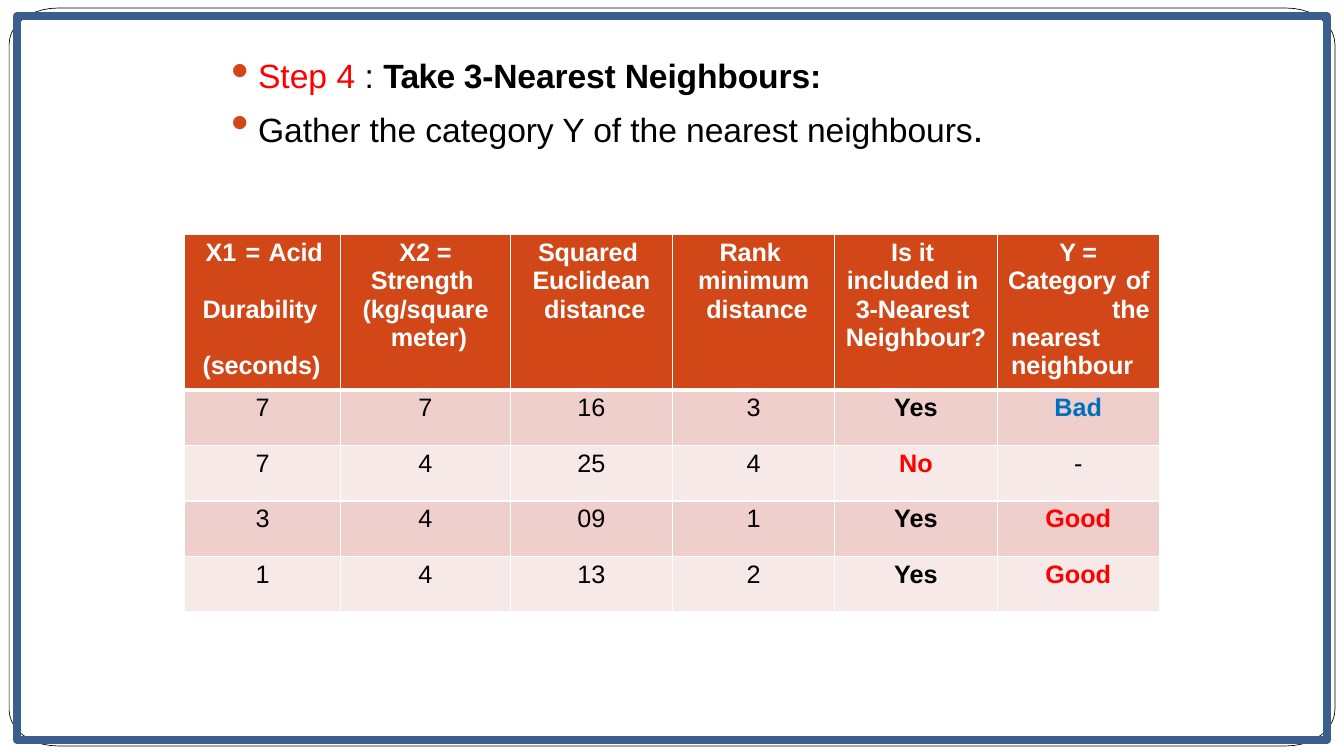
"""Build the slide on taking the three nearest neighbours."""
from dataclasses import dataclass
from math import cos, pi, sin

from lxml import etree
from pptx import Presentation
from pptx.dml.color import RGBColor
from pptx.enum.shapes import MSO_SHAPE
from pptx.enum.text import MSO_ANCHOR, MSO_AUTO_SIZE, PP_ALIGN
from pptx.oxml.ns import qn
from pptx.slide import Slide
from pptx.util import Inches, Pt

RECTANGLE = MSO_SHAPE.RECTANGLE
LEFT, CENTER, JUSTIFY = PP_ALIGN.LEFT, PP_ALIGN.CENTER, PP_ALIGN.JUSTIFY
TOP = MSO_ANCHOR.TOP
GROW = MSO_AUTO_SIZE.SHAPE_TO_FIT_TEXT

BLACK = RGBColor(0x00, 0x00, 0x00)
WHITE = RGBColor(0xFF, 0xFF, 0xFF)
RED = RGBColor(0xFF, 0x00, 0x00)
BLUE = RGBColor(0x00, 0x6F, 0xC0)
ORANGE = RGBColor(0xD2, 0x47, 0x17)
FRAME_BLUE = RGBColor(0x3A, 0x5F, 0x8C)
DARK_BAND = RGBColor(0xEE, 0xCF, 0xCC)
LIGHT_BAND = RGBColor(0xF7, 0xE9, 0xE7)

FONT = "Arial"
COLUMN_WIDTHS = (1.55, 1.68, 1.61, 1.61, 1.61, 1.61)
ROW_HEIGHTS = (1.3, 0.55, 0.55, 0.55, 0.55)


@dataclass(frozen=True)
class Run:
    """A stretch of text in one format."""
    text: str
    color: RGBColor = BLACK
    bold: bool = False
    size: float = 18
    spacing: float = 0


@dataclass(frozen=True)
class Line:
    """A paragraph with its margins in inches and space before in points."""
    runs: tuple[Run, ...]
    align: PP_ALIGN = CENTER
    left: float = 0
    right: float = 0
    first: float = 0
    before: float = 3.1


def header(text: str, align: PP_ALIGN = CENTER, left: float = 0,
           right: float = 0, first: float = 0, before: float = 3.1) -> Line:
    """Return a paragraph in the heading format."""
    run = Run(text, WHITE, True, spacing=-0.1)
    return Line((run,), align, left, right, first, before)


def value(text: str, color: RGBColor = BLACK, bold: bool = False) -> tuple[Line, ...]:
    """Return the single paragraph of a body cell."""
    return (Line((Run(text, color, bold),)),)


YES = value("Yes", bold=True)
GOOD = value("Good", RED, True)

HEADINGS = (
    (header("X1 = Acid  Durability  (seconds)", JUSTIFY, 0.18, 0.18, 0.03),),
    (header("X2 ="),
     header("Strength  (kg/square  meter)", CENTER, 0.21, 0.21, before=0)),
    (header("Squared  Euclidean  distance", CENTER, 0.21, 0.21),),
    (header("Rank  minimum  distance", CENTER, 0.25, 0.25),),
    (header("Is it  included in  3-Nearest  Neighbour?", CENTER, 0.1, 0.1),),
    (header("Y ="),
     header("Category of  the nearest  neighbour", JUSTIFY, 0.14, 0.1, -0.03, 0)),
)
ROWS = (
    HEADINGS,
    (*map(value, ("7", "7", "16", "3")), YES, value("Bad", BLUE, True)),
    (*map(value, ("7", "4", "25", "4")), value("No", RED, True), value("-")),
    (*map(value, ("3", "4", "09", "1")), YES, GOOD),
    (*map(value, ("1", "4", "13", "2")), YES, GOOD),
)
TITLE_LINES = (
    Line((Run("Step 4 ", RED, size=24), Run(": ", size=24),
          Run("Take ", bold=True, size=24, spacing=-0.5),
          Run("3-Nearest Neighbours:", bold=True, size=24, spacing=-0.1)),
         LEFT, 0.31, first=-0.3, before=6),
    Line((Run("Gather the category Y of the nearest neighbours", size=24, spacing=-0.05),
          Run(".", size=28)),
         LEFT, 0.31, first=-0.3, before=5.8),
)


def apply(target: object, values: dict) -> None:
    """Set each named attribute on the target."""
    for name, setting in values.items():
        setattr(target, name, setting)


def write_lines(text_frame, lines: tuple[Line, ...]) -> None:
    """Fill a text frame with formatted paragraphs."""
    for index, line in enumerate(lines):
        paragraph = text_frame.add_paragraph() if index else text_frame.paragraphs[0]
        apply(paragraph, {"alignment": line.align, "space_before": Pt(line.before)})
        properties = paragraph._p.get_or_add_pPr()
        for name, length in (("marL", line.left), ("marR", line.right),
                             ("indent", line.first)):
            properties.set(name, str(Inches(length)))
        for part in line.runs:
            run = paragraph.add_run()
            run.text = part.text
            apply(run.font, {"name": FONT, "size": Pt(part.size), "bold": part.bold})
            run.font.color.rgb = part.color
            if part.spacing:
                run.font._element.set("spc", str(round(part.spacing * 100)))


def add_bullet(paragraph) -> None:
    """Give a paragraph an orange round bullet."""
    properties = paragraph._p.get_or_add_pPr()
    color = etree.SubElement(properties, qn("a:buClr"))
    etree.SubElement(color, qn("a:srgbClr"), val=str(ORANGE))
    etree.SubElement(properties, qn("a:buSzPct"), val="85000")
    etree.SubElement(properties, qn("a:buChar"), char="⚫")


def format_outline(shape, color: RGBColor, width: float) -> None:
    """Leave a shape unfilled with a plain line."""
    shape.shadow.inherit = False
    shape.fill.background()
    shape.line.color.rgb = color
    shape.line.width = Pt(width)


def add_rounded_outline(slide: Slide) -> None:
    """Draw the thin outline with elliptical corners."""
    left, top, right, bottom = 0.09, 0.08, 13.24, 7.4
    radius_x, radius_y, steps = 0.48, 0.36, 10
    centers = ((right - radius_x, bottom - radius_y), (left + radius_x, bottom - radius_y),
               (left + radius_x, top + radius_y), (right - radius_x, top + radius_y))
    points = []
    for quarter, (center_x, center_y) in enumerate(centers):
        for step in range(steps + 1):
            angle = (quarter + step / steps) * pi / 2
            points.append((Inches(center_x + radius_x * cos(angle)),
                           Inches(center_y + radius_y * sin(angle))))
    builder = slide.shapes.build_freeform(*points[0])
    builder.add_line_segments(points[1:], close=True)
    format_outline(builder.convert_to_shape(), BLACK, 0.48)


def add_title(slide: Slide) -> None:
    """Place the bulleted step in the title placeholder."""
    title = slide.shapes.title
    apply(title, {"left": Inches(2.25), "top": Inches(0.46),
                  "width": Inches(7.55), "height": Inches(1.05)})
    apply(title.text_frame, {"margin_left": 0, "margin_top": Inches(0.08),
                             "margin_right": 0, "margin_bottom": 0, "word_wrap": True,
                             "vertical_anchor": TOP, "auto_size": GROW})
    write_lines(title.text_frame, TITLE_LINES)
    for paragraph in title.text_frame.paragraphs:
        add_bullet(paragraph)


def add_borders(cell, row_index: int) -> None:
    """Draw white cell borders, thick between heading and body."""
    top = 3 if row_index == 1 else 1
    bottom = 3 if row_index == 0 else 1
    properties = cell._tc.get_or_add_tcPr()
    for side, width in (("L", 1), ("R", 1), ("T", top), ("B", bottom)):
        border = etree.SubElement(properties, qn(f"a:ln{side}"), w=str(Pt(width)))
        fill = etree.SubElement(border, qn("a:solidFill"))
        etree.SubElement(fill, qn("a:srgbClr"), val=str(WHITE))


def add_distance_table(slide: Slide) -> None:
    """Draw the table of distances and categories."""
    table = slide.shapes.add_table(
        len(ROWS), len(COLUMN_WIDTHS), Inches(1.83), Inches(2.33),
        Inches(sum(COLUMN_WIDTHS)), Inches(sum(ROW_HEIGHTS))).table
    for column, width in zip(table.columns, COLUMN_WIDTHS):
        column.width = Inches(width)
    for row_index, (row, height) in enumerate(zip(table.rows, ROW_HEIGHTS)):
        row.height = Inches(height)
        band = DARK_BAND if row_index % 2 else LIGHT_BAND
        for cell, lines in zip(row.cells, ROWS[row_index]):
            apply(cell, {"margin_left": 0, "margin_top": Inches(0.04),
                         "margin_right": 0, "margin_bottom": 0})
            add_borders(cell, row_index)
            cell.fill.solid()
            cell.fill.fore_color.rgb = band if row_index else ORANGE
            write_lines(cell.text_frame, lines)


def main() -> None:
    """Build and save the presentation."""
    presentation = Presentation()
    apply(presentation, {"slide_width": Inches(13.33), "slide_height": Inches(7.5)})
    slide = presentation.slides.add_slide(presentation.slide_layouts[5])
    add_rounded_outline(slide)
    add_title(slide)
    add_distance_table(slide)
    frame = slide.shapes.add_shape(
        RECTANGLE, Inches(0.17), Inches(0.16), Inches(12.99), Inches(7.18))
    format_outline(frame, FRAME_BLUE, 6)
    presentation.save("out.pptx")


if __name__ == "__main__":
    main()
